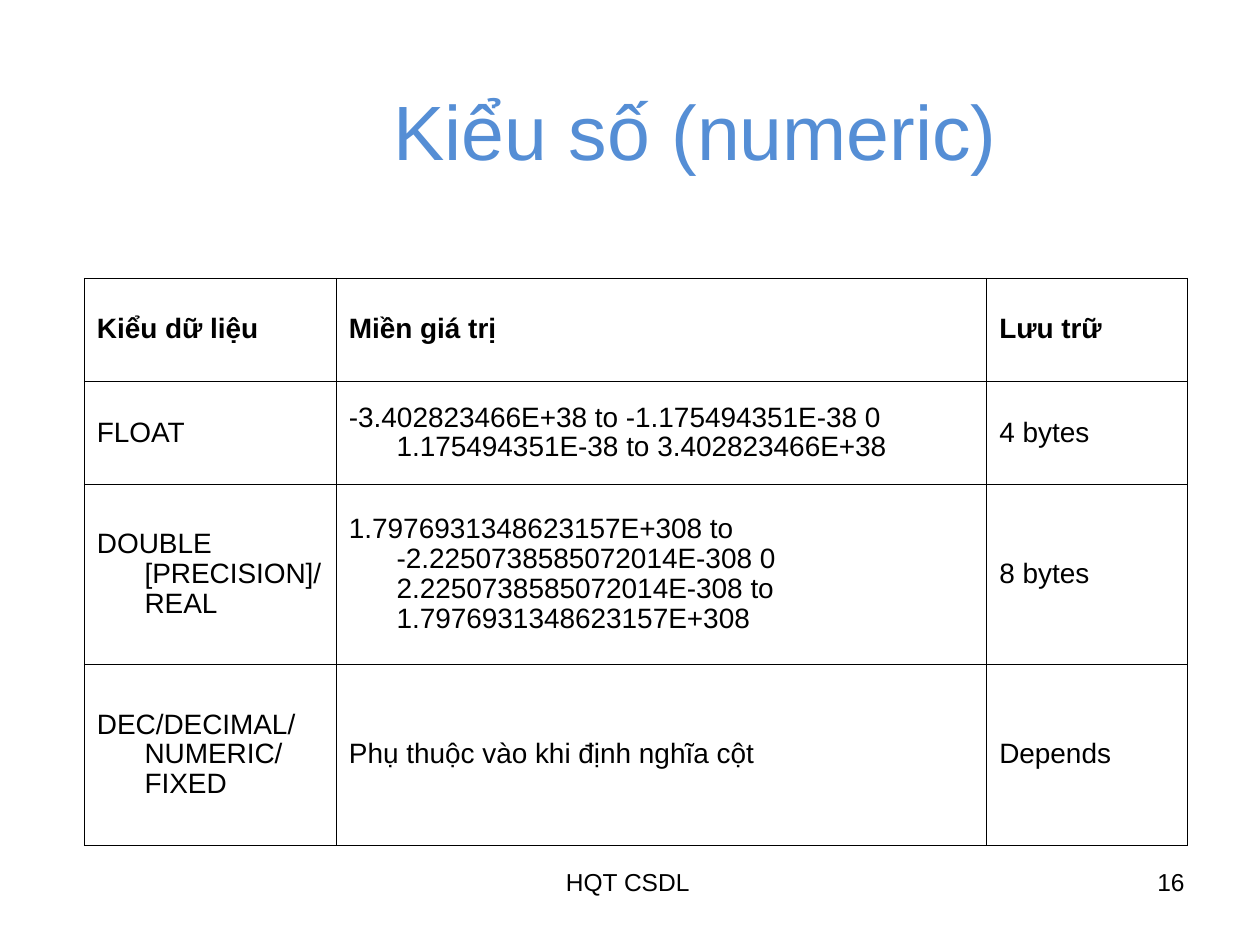
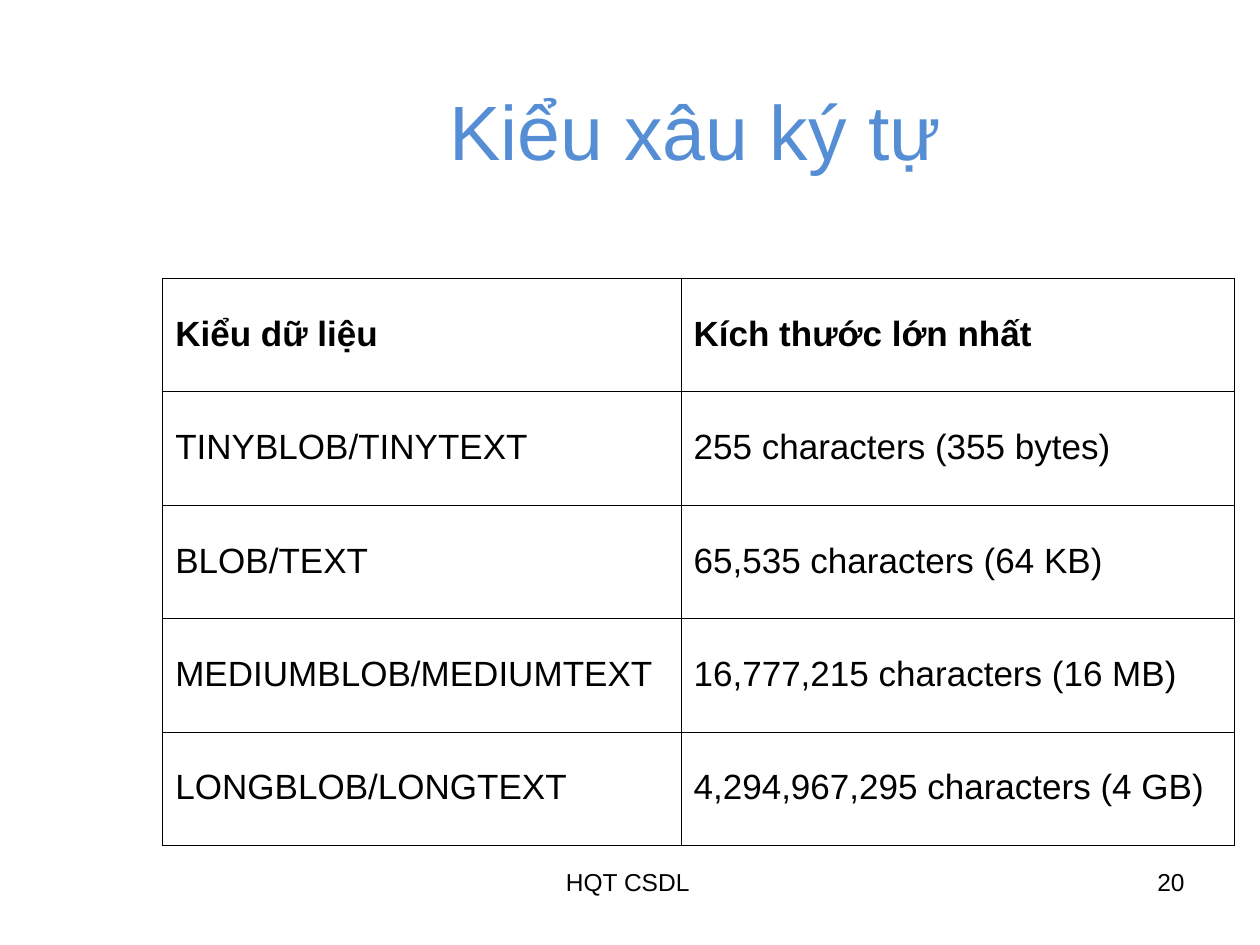
import pptx
import pptx.util
import pptx.dml.color
import pptx.enum.text
import pptx.oxml.ns
import lxml.etree

Cm = pptx.util.Cm
Pt = pptx.util.Pt
ALIGN = pptx.enum.text.PP_ALIGN
ANCHOR = pptx.enum.text.MSO_ANCHOR


def color(value):
    return pptx.dml.color.RGBColor.from_string(value)


def write(tf, text, size, ink, font, bold=False, align=ALIGN.LEFT, hanging=0, spacing=None):
    p = tf.paragraphs[0]
    p.alignment = align
    if spacing:
        p.line_spacing = spacing
    if hanging:
        pPr = p._p.get_or_add_pPr()
        pPr.set("marL", str(Cm(hanging)))
        pPr.set("indent", str(-Cm(hanging)))
    r = p.add_run()
    r.text = text
    r.font.name = font
    r.font.size = Pt(size)
    r.font.bold = bold
    r.font.color.rgb = color(ink)


class Deck:
    font = "Arial"
    title_ink = "558ED5"
    ink = "000000"
    paper = "FFFFFF"
    border = 0.45
    table_top = 5.61

    def __init__(self):
        self.prs = pptx.Presentation()
        self.prs.slide_width = Cm(25.4)
        self.prs.slide_height = Cm(19.05)
        self.s = None

    def slide(self, title, number):
        self.s = self.prs.slides.add_slide(self.prs.slide_layouts[6])
        self.s.background.fill.solid()
        self.s.background.fill.fore_color.rgb = color(self.paper)
        self.text(title, (3.2, 0.58, 21.64, 4.06), 44, self.title_ink, ALIGN.CENTER, ANCHOR.MIDDLE)
        self.text("HQT CSDL ", (8.69, 17.35, 8.05, 1.32), 14, self.ink, ALIGN.CENTER)
        self.text(str(number), (18.21, 17.35, 5.92, 1.32), 14, self.ink, ALIGN.RIGHT)

    def text(self, text, box, size, ink, align, anchor=ANCHOR.TOP):
        sp = self.s.shapes.add_textbox(*map(Cm, box))
        tf = sp.text_frame
        tf.word_wrap = True
        tf.vertical_anchor = anchor
        write(tf, text, size, ink, self.font, align=align)

    def borders(self, cell):
        tcPr = cell._tc.get_or_add_tcPr()
        qn = pptx.oxml.ns.qn
        for side in ("a:lnL", "a:lnR", "a:lnT", "a:lnB"):
            ln = lxml.etree.SubElement(tcPr, qn(side), w=str(Pt(self.border)))
            fill = lxml.etree.SubElement(ln, qn("a:solidFill"))
            lxml.etree.SubElement(fill, qn("a:srgbClr"), val=self.ink)

    def table(self, left, widths, heights, size, rows):
        box = map(Cm, (left, self.table_top, sum(widths), sum(heights)))
        table = self.s.shapes.add_table(len(rows), len(widths), *box).table
        table.first_row = False
        table.horz_banding = False
        for column, width in zip(table.columns, widths):
            column.width = Cm(width)
        for row, height in zip(table.rows, heights):
            row.height = Cm(height)
        for i, row in enumerate(rows):
            for j, text in enumerate(row):
                cell = table.cell(i, j)
                cell.vertical_anchor = ANCHOR.MIDDLE
                self.borders(cell)
                cell.fill.background()
                write(cell.text_frame, text, size, self.ink, self.font,
                      bold=i == 0, hanging=0.96, spacing=0.96)


def main():
    deck = Deck()

    deck.slide("Kiểu số (numeric)", 16)
    deck.table(1.7, [5.08, 13.11, 4.04], [2.08, 2.08, 3.63, 3.64], 16, [
        ["Kiểu dữ liệu", "Miền giá trị", "Lưu trữ"],
        ["FLOAT",
         "-3.402823466E+38 to -1.175494351E-38 0 1.175494351E-38 to 3.402823466E+38",
         "4 bytes"],
        ["DOUBLE [PRECISION]/REAL",
         "1.7976931348623157E+308 to -2.2250738585072014E-308 0 "
         "2.2250738585072014E-308 to 1.7976931348623157E+308",
         "8 bytes"],
        ["DEC/DECIMAL/NUMERIC/FIXED", "Phụ thuộc vào khi định nghĩa cột", "Depends"],
    ])

    deck.slide("Kiểu xâu ký tự", 20)
    deck.table(3.28, [10.45, 11.15], [11.43 / 5] * 5, 20, [
        ["Kiểu dữ liệu", "Kích thước lớn nhất"],
        ["TINYBLOB/TINYTEXT", "255 characters (355 bytes)"],
        ["BLOB/TEXT", "65,535 characters (64 KB)"],
        ["MEDIUMBLOB/MEDIUMTEXT", "16,777,215 characters (16 MB)"],
        ["LONGBLOB/LONGTEXT", "4,294,967,295 characters (4 GB)"],
    ])

    deck.prs.save("out.pptx")


if __name__ == "__main__":
    main()
